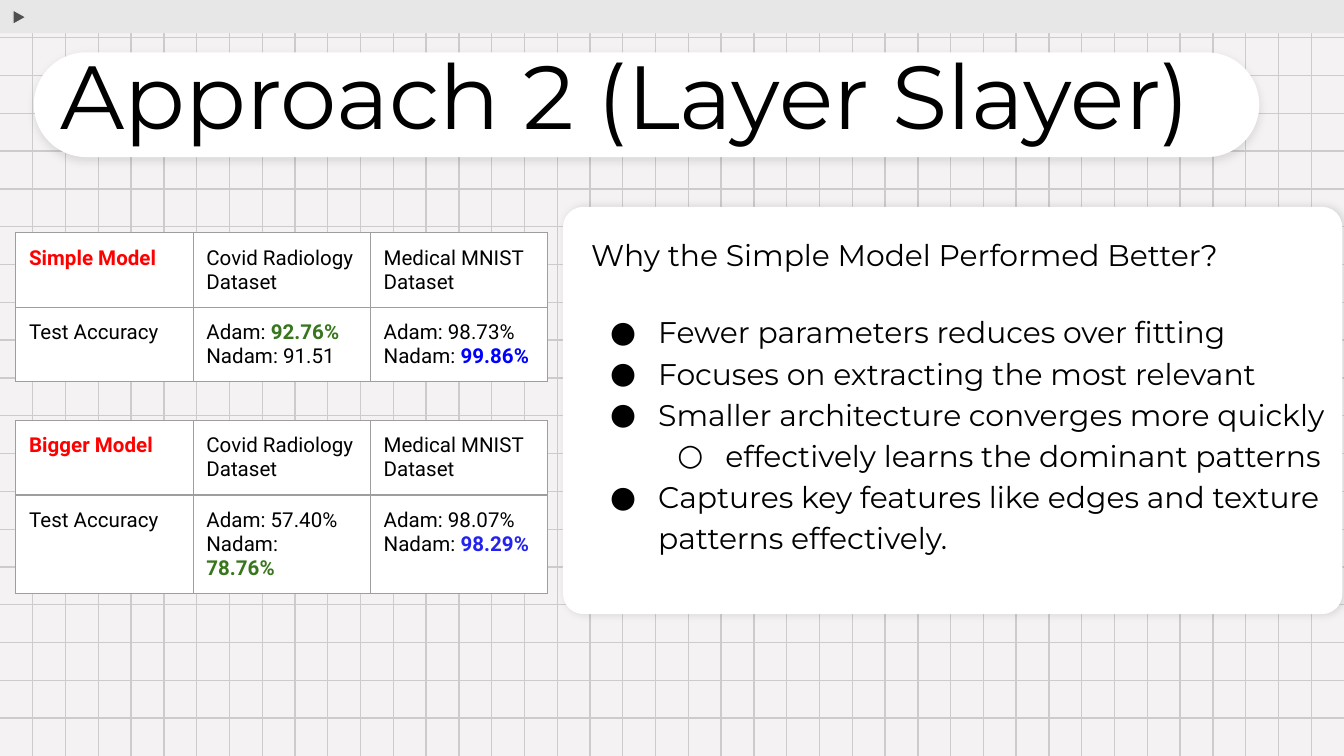
from dataclasses import dataclass

from lxml.etree import SubElement
from pptx import Presentation
from pptx.dml.color import RGBColor
from pptx.enum.shapes import MSO_CONNECTOR, MSO_SHAPE
from pptx.enum.text import MSO_ANCHOR, MSO_AUTO_SIZE, PP_ALIGN
from pptx.oxml.ns import qn
from pptx.util import Cm, Pt


@dataclass(frozen=True)
class Theme:
    paper: str = "F4F2F2"
    grid: str = "CCCCCC"
    bar: str = "E7E7E7"
    arrow: str = "4F4F4F"
    white: str = "FFFFFF"
    ink: str = "000000"
    border: str = "9E9E9E"
    red: str = "FF0000"
    green: str = "38761D"
    blue: str = "0000FF"
    violet: str = "2322EF"
    head_font: str = "Montserrat"
    table_font: str = "Roboto"
    title_size: int = 48
    body_size: int = 16
    table_size: int = 11
    line: float = 0.75


T = Theme()
SLIDE_W, SLIDE_H = 25.4, 14.29
GRID_COLS, GRID_ROWS = 41, 20
INSET = Cm(0.25)

QUESTION = "Why the Simple Model Performed Better?"
REASONS = [
    (0, "Fewer parameters reduces over fitting"),
    (0, "Focuses on extracting the most relevant"),
    (0, "Smaller architecture converges more quickly"),
    (1, "effectively learns the dominant patterns"),
    (0, "Captures key features like edges and texture patterns effectively."),
]

# A cell is a list of paragraphs, a paragraph a list of (text, accent colour) runs.
DATASETS = [[[("Covid Radiology Dataset", None)]], [[("Medical MNIST Dataset", None)]]]
LABEL = [[("Test Accuracy", None)]]
SIMPLE = [
    [[[("Simple Model", T.red)]], *DATASETS],
    [LABEL,
     [[("Adam: ", None), ("92.76%", T.green)], [("Nadam: 91.51", None)]],
     [[("Adam: 98.73%", None)], [("Nadam: ", None), ("99.86%", T.blue)]]],
]
BIGGER = [
    [[[("Bigger Model", T.red)]], *DATASETS],
    [LABEL,
     [[("Adam: 57.40%", None)], [("Nadam:", None), ("\n", None), ("78.76%", T.green)]],
     [[("Adam: 98.07%", None)], [("Nadam: ", None), ("98.29%", T.violet)]]],
]


def rgb(value):
    return RGBColor.from_string(value)


def write(p, text, font=T.head_font, size=T.body_size, color=T.ink, bold=False):
    """Add a run to a paragraph; a newline becomes a line break."""
    if text == "\n":
        p.add_line_break()
        return
    r = p.add_run()
    r.text = text
    r.font.name, r.font.size, r.font.bold = font, Pt(size), bold
    r.font.color.rgb = rgb(color)


def set_insets(frame):
    frame.margin_left = frame.margin_right = INSET
    frame.margin_top = frame.margin_bottom = INSET


def add_line(slide, x1, y1, x2, y2):
    line = slide.shapes.add_connector(
        MSO_CONNECTOR.STRAIGHT, Cm(x1), Cm(y1), Cm(x2), Cm(y2))
    line.line.color.rgb = rgb(T.grid)
    line.line.width = Pt(T.line)
    SubElement(line._element.spPr, qn("a:effectLst"))


def add_box(slide, kind, x, y, w, h, fill, line=None):
    sp = slide.shapes.add_shape(kind, Cm(x), Cm(y), Cm(w), Cm(h))
    sp.shadow.inherit = False
    sp.fill.solid()
    sp.fill.fore_color.rgb = rgb(fill)
    if line:
        sp.line.color.rgb = rgb(line)
        sp.line.width = Pt(T.line)
    else:
        sp.line.fill.background()
    return sp


def add_card(slide, x, y, w, h, corner, opacity, angle):
    """Add a white rounded box with a soft shadow."""
    sp = add_box(slide, MSO_SHAPE.ROUNDED_RECTANGLE, x, y, w, h, T.white)
    sp.adjustments[0] = corner
    effects = sp._element.spPr.find(qn("a:effectLst"))
    shadow = SubElement(effects, qn("a:outerShdw"), blurRad=str(Pt(4.5)),
                        dist=str(Pt(1.5)), dir=str(angle * 60000),
                        algn="bl", rotWithShape="0")
    color = SubElement(shadow, qn("a:srgbClr"), val=T.ink)
    SubElement(color, qn("a:alpha"), val=str(opacity * 1000))


def add_backdrop(slide):
    slide.background.fill.solid()
    slide.background.fill.fore_color.rgb = rgb(T.paper)
    for i in range(1, GRID_ROWS):
        y = i * SLIDE_H / GRID_ROWS
        add_line(slide, 0, y, SLIDE_W, y)
    for i in range(1, GRID_COLS):
        x = i * SLIDE_W / GRID_COLS
        add_line(slide, x, 0, x, SLIDE_H)
    add_box(slide, MSO_SHAPE.RECTANGLE, 0, 0, SLIDE_W, 0.63, T.bar)
    arrow = add_box(slide, MSO_SHAPE.ISOSCELES_TRIANGLE, 0.23, 0.2, 0.28, 0.25,
                    T.arrow, T.bar)
    arrow.rotation = 90


def place(sp, x, y, w, h):
    """Position a placeholder, bring it to the front and return its text frame."""
    sp.left, sp.top, sp.width, sp.height = Cm(x), Cm(y), Cm(w), Cm(h)
    sp._element.getparent().append(sp._element)
    tf = sp.text_frame
    tf.word_wrap = True
    tf.auto_size = MSO_AUTO_SIZE.NONE
    tf.vertical_anchor = MSO_ANCHOR.TOP
    set_insets(tf)
    return tf


def set_bullet(p, level, char=None):
    """Give a paragraph its indent and bullet, or neither when char is None."""
    pPr = p._p.get_or_add_pPr()
    if char is None:
        pPr.set("marL", "0")
        pPr.set("indent", "0")
        SubElement(pPr, qn("a:buNone"))
        return
    p.level = level
    pPr.set("marL", str(Cm(1.27 * (level + 1))))
    pPr.set("indent", str(Cm(-0.91)))
    SubElement(SubElement(pPr, qn("a:buClr")), qn("a:srgbClr"), val=T.ink)
    SubElement(pPr, qn("a:buFont"), typeface=T.head_font)
    SubElement(pPr, qn("a:buChar"), char=char)


def fill_title(sp):
    p = place(sp, 0.89, 0.74, 23.57, 2.36).paragraphs[0]
    p.alignment = PP_ALIGN.LEFT
    p.line_spacing = 0.9
    write(p, "Approach 2 (Layer Slayer)", size=T.title_size)


def fill_reasons(sp):
    tf = place(sp, 10.92, 4.22, 15.54, 7.57)
    p = tf.paragraphs[0]
    set_bullet(p, 0)
    p.space_before = Pt(0)
    write(p, QUESTION)
    for i, (level, text) in enumerate(REASONS):
        p = tf.add_paragraph()
        set_bullet(p, level, "●○"[level])
        p.line_spacing = 1.15
        p.space_before = Pt(0 if i else 19.5)
        write(p, text)


def style_cell(cell):
    set_insets(cell)
    tcPr = cell._tc.get_or_add_tcPr()
    for side in ("a:lnL", "a:lnR", "a:lnT", "a:lnB"):
        ln = SubElement(tcPr, qn(side), w=str(Pt(T.line)))
        SubElement(SubElement(ln, qn("a:solidFill")), qn("a:srgbClr"), val=T.border)
    cell.fill.solid()
    cell.fill.fore_color.rgb = rgb(T.white)


def add_results(slide, x, y, rows):
    col_w, row_h = 3.35, 1.34
    table = slide.shapes.add_table(
        len(rows), len(rows[0]), Cm(x), Cm(y),
        Cm(col_w * len(rows[0])), Cm(row_h * len(rows))).table
    table.first_row = table.horz_banding = False
    for i, row in enumerate(rows):
        for j, paragraphs in enumerate(row):
            cell = table.cell(i, j)
            style_cell(cell)
            tf = cell.text_frame
            for k, runs in enumerate(paragraphs):
                p = tf.add_paragraph() if k else tf.paragraphs[0]
                for text, accent in runs:
                    write(p, text, font=T.table_font, size=T.table_size,
                          color=accent or T.ink, bold=bool(accent))


def main():
    prs = Presentation()
    prs.slide_width, prs.slide_height = Cm(SLIDE_W), Cm(SLIDE_H)
    slide = prs.slides.add_slide(prs.slide_layouts[1])
    title, body = slide.placeholders
    add_backdrop(slide)
    add_card(slide, 10.64, 3.91, 14.73, 7.7, corner=0.05, opacity=12, angle=0)
    fill_reasons(body)
    add_results(slide, 0.3, 4.4, SIMPLE)
    add_results(slide, 0.3, 7.95, BIGGER)
    add_card(slide, 0.64, 0.99, 23.16, 1.98, corner=0.5, opacity=10, angle=90)
    fill_title(title)
    prs.save("out.pptx")


if __name__ == "__main__":
    main()
